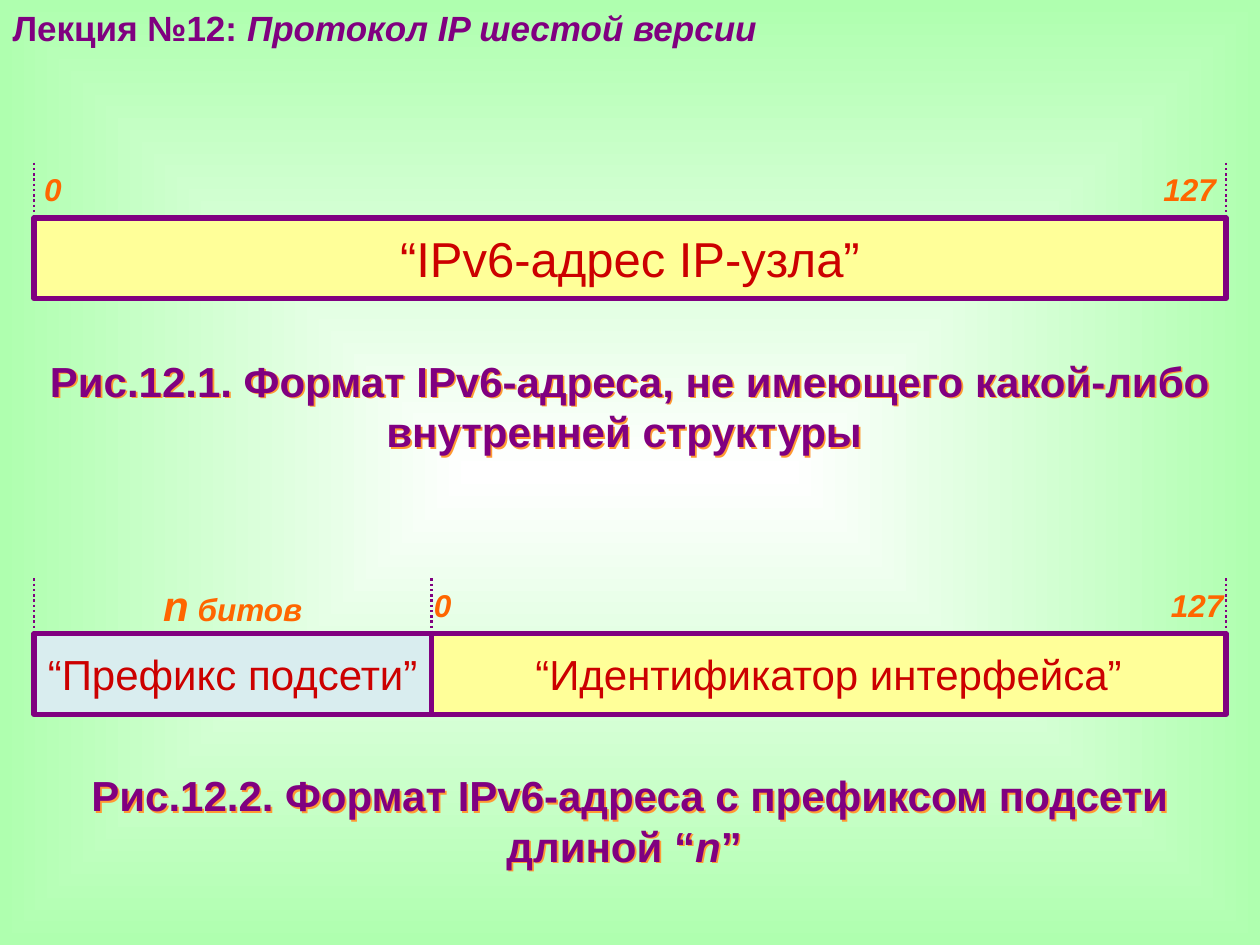
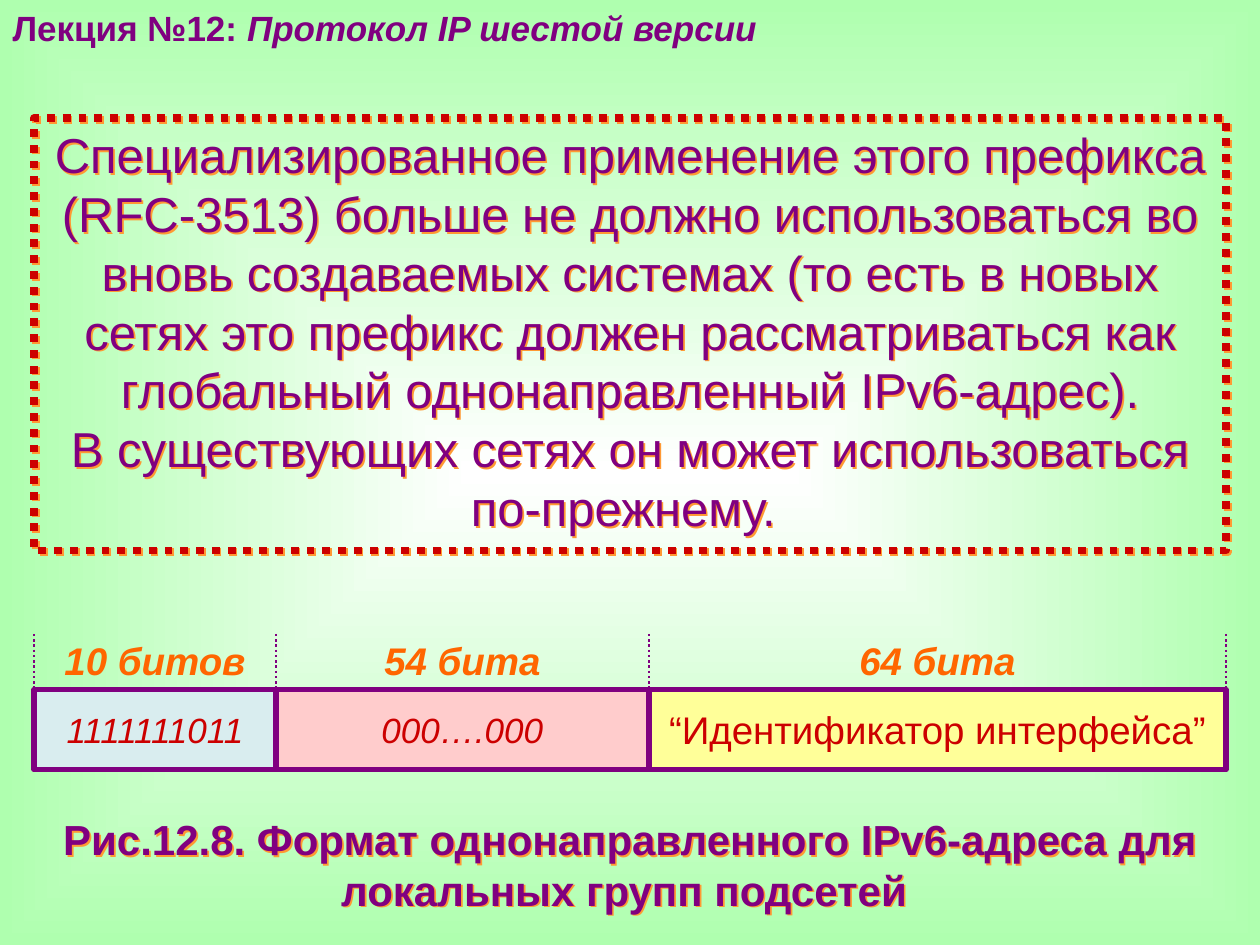
from lxml import etree
from pptx import Presentation
from pptx.dml.color import RGBColor
from pptx.enum.dml import MSO_LINE
from pptx.enum.shapes import MSO_CONNECTOR, MSO_SHAPE
from pptx.enum.text import MSO_ANCHOR, MSO_AUTO_SIZE, PP_ALIGN
from pptx.oxml import parse_xml
from pptx.oxml.ns import nsdecls, qn
from pptx.util import Inches, Pt

LEFT, CENTER, RIGHT = PP_ALIGN.LEFT, PP_ALIGN.CENTER, PP_ALIGN.RIGHT
TOP, MIDDLE = MSO_ANCHOR.TOP, MSO_ANCHOR.MIDDLE
RECTANGLE, STRAIGHT = MSO_SHAPE.RECTANGLE, MSO_CONNECTOR.STRAIGHT
DOTTED = MSO_LINE.ROUND_DOT
TITLE_ONLY = 5

FONT = "Arial"
PURPLE, RED, ORANGE, SHADOW = "800080", "CC0000", "FF6600", "FF9933"
YELLOW, BLUE, PINK = "FFFF99", "D9EDEF", "FFCCCC"
CENTER_GREEN, EDGE_GREEN = "FFFFFF", "AFFFAF"

SLIDE_WIDTH, SLIDE_HEIGHT = 10, 7.5
MARGIN = 0.27
CONTENT_WIDTH = SLIDE_WIDTH - 2 * MARGIN
TICK_HEIGHT, LABEL_HEIGHT = 0.59, 0.42
FIELD_OFFSET, FIELD_HEIGHT = 0.44, 0.64
CAPTION_HEIGHT = 0.9

TITLE = ["Лекция №12: ", ("Протокол IP шестой версии", {"italic": True})]
NOTICE = [
    ["Специализированное применение этого префикса (RFC-3513) больше не должно "
     "использоваться во вновь создаваемых системах (то есть в новых сетях это "
     "префикс должен рассматриваться как глобальный однонаправленный IPv6-адрес)."],
    ["В существующих сетях он может использоваться по-прежнему. "],
]

# A field has a width, a fill, a text with its format, and either
# "bits" (one centred label) or "range" (first bit, last bit, side padding).
ADDRESS = {
    "top": 1.29, "caption_top": 2.77,
    "caption": ["Рис.12.1. Формат IPv6-адреса, не имеющего какой-либо внутренней структуры "],
    "fields": [
        {"width": CONTENT_WIDTH, "fill": YELLOW, "text": "“IPv6-адрес IP-узла”",
         "format": {"size": 28}, "range": ("0", "127", 0.08)},
    ],
}
SUBNET_ADDRESS = {
    "top": 4.59, "caption_top": 6.06,
    "caption": ["Рис.12.2. Формат IPv6-адреса с префиксом подсети длиной “",
                ("n", {"italic": True}), "” "],
    "fields": [
        {"width": CONTENT_WIDTH / 3, "fill": BLUE, "text": "“Префикс подсети”",
         "format": {"size": 24}, "bits": [("n", {"size": 24}), " битов"], "bits_size": 18},
        {"width": CONTENT_WIDTH * 2 / 3, "fill": YELLOW, "text": "“Идентификатор интерфейса”",
         "format": {"size": 24}, "range": ("0", "127", 0.02)},
    ],
}
LOCAL_ADDRESS = {
    "top": 5.03, "caption_top": 6.41,
    "caption": ["Рис.12.8. Формат однонаправленного IPv6-адреса для локальных групп подсетей "],
    "fields": [
        {"width": 1.92, "fill": BLUE, "text": "1111111011",
         "format": {"size": 20, "italic": True}, "bits": ["10 битов"], "bits_size": 22},
        {"width": 2.96, "fill": PINK, "text": "000….000",
         "format": {"size": 20, "italic": True}, "bits": ["54 бита"], "bits_size": 22},
        {"width": 4.58, "fill": YELLOW, "text": "“Идентификатор интерфейса”",
         "format": {"size": 22}, "bits": ["64 бита"], "bits_size": 22},
    ],
}
SLIDES = [
    {"notice": None, "diagrams": [ADDRESS, SUBNET_ADDRESS]},
    {"notice": NOTICE, "diagrams": [LOCAL_ADDRESS]},
]


def rgb(color):
    return RGBColor.from_string(color)


def write(shape, paragraphs, align=CENTER, anchor=MIDDLE, insets=(0, 0), **format):
    """Fill a shape with paragraphs, each a list of strings or (string, format) runs."""
    frame = shape.text_frame
    frame.word_wrap = True
    frame.auto_size = MSO_AUTO_SIZE.NONE
    frame.vertical_anchor = anchor
    frame.margin_left = frame.margin_right = Inches(insets[0])
    frame.margin_top = frame.margin_bottom = Inches(insets[1])
    for index, runs in enumerate(paragraphs):
        paragraph = frame.add_paragraph() if index else frame.paragraphs[0]
        paragraph.alignment = align
        for item in runs:
            text, changes = (item, {}) if isinstance(item, str) else item
            style = {"bold": False, "italic": False, **format, **changes}
            run = paragraph.add_run()
            run.text = text
            font = run.font
            font.name, font.size = FONT, Pt(style["size"])
            font.bold, font.italic = style["bold"], style["italic"]
            font.color.rgb = rgb(style["color"])


def add_text(slide, box, paragraphs, **format):
    shape = slide.shapes.add_textbox(*map(Inches, box))
    write(shape, paragraphs, **format)
    return shape


def add_rectangle(slide, box, line_color, line_width, fill=None):
    shape = slide.shapes.add_shape(RECTANGLE, *map(Inches, box))
    shape.shadow.inherit = False
    if fill:
        shape.fill.solid()
        shape.fill.fore_color.rgb = rgb(fill)
    else:
        shape.fill.background()
    shape.line.color.rgb = rgb(line_color)
    shape.line.width = Pt(line_width)
    return shape


def add_shadow(shape):
    """Give an unfilled shape, with its text, a hard orange shadow."""
    shape.shadow.inherit = False
    effects = shape._element.spPr.find(qn("a:effectLst"))
    effects.append(parse_xml(
        f'<a:outerShdw {nsdecls("a")} dist="17780" dir="2700000" algn="ctr" rotWithShape="0">'
        f'<a:srgbClr val="{SHADOW}"/></a:outerShdw>'))


def add_tick(slide, x, top):
    tick = slide.shapes.add_connector(
        STRAIGHT, Inches(x), Inches(top), Inches(x), Inches(top + TICK_HEIGHT))
    tick.line.color.rgb = rgb(PURPLE)
    tick.line.width = Pt(1.5)
    tick.line.dash_style = DOTTED
    etree.SubElement(tick._element.spPr, qn("a:effectLst"))


def add_field_label(slide, field, left, top):
    style = {"color": ORANGE, "bold": True, "italic": True}
    width = field["width"]
    if "bits" in field:
        add_text(slide, (left, top, width, LABEL_HEIGHT), [field["bits"]],
                 size=field["bits_size"], **style)
        return
    first, last, padding = field["range"]
    half = width / 2
    for x, bit, align in ((left, first, LEFT), (left + half, last, RIGHT)):
        add_text(slide, (x, top, half, LABEL_HEIGHT), [[bit]],
                 align=align, insets=(padding, 0), size=18, **style)


def add_diagram(slide, diagram):
    top, fields = diagram["top"], diagram["fields"]
    edges = [MARGIN]
    for field in fields:
        edges.append(edges[-1] + field["width"])
    for edge in edges:
        add_tick(slide, edge, top)
    for field, left in zip(fields, edges):
        add_field_label(slide, field, left, top)
        box = (left, top + FIELD_OFFSET, field["width"], FIELD_HEIGHT)
        rectangle = add_rectangle(slide, box, PURPLE, 3, field["fill"])
        write(rectangle, [[field["text"]]], color=RED, **field["format"])
    caption = add_text(slide, (0, diagram["caption_top"], SLIDE_WIDTH, CAPTION_HEIGHT),
                       [diagram["caption"]], anchor=TOP, insets=(0.1, 0.05),
                       size=24, color=PURPLE, bold=True)
    add_shadow(caption)


def add_notice(slide, paragraphs):
    notice = add_rectangle(slide, (MARGIN, 0.94, CONTENT_WIDTH, 3.43), RED, 4.5)
    notice.line.dash_style = DOTTED
    add_shadow(notice)
    write(notice, paragraphs, anchor=TOP, insets=(0.1, 0.05), size=28, color=PURPLE)


def add_title(slide):
    title = slide.shapes.title
    title.left, title.top, title.width, title.height = map(Inches, (0, 0, 6.38, 0.43))
    write(title, [TITLE], align=LEFT, anchor=TOP, insets=(0.1, 0.05),
          size=20, color=PURPLE, bold=True)


def set_background(master):
    """Give every slide a gradient that goes from white in the middle to green."""
    common = master._element.cSld
    for background in common.findall(qn("p:bg")):
        common.remove(background)
    common.insert(0, parse_xml(
        f'<p:bg {nsdecls("p", "a")}><p:bgPr><a:gradFill rotWithShape="1"><a:gsLst>'
        f'<a:gs pos="0"><a:srgbClr val="{CENTER_GREEN}"/></a:gs>'
        f'<a:gs pos="100000"><a:srgbClr val="{EDGE_GREEN}"/></a:gs></a:gsLst>'
        '<a:path path="shape"><a:fillToRect l="50000" t="50000" r="50000" b="50000"/></a:path>'
        '</a:gradFill><a:effectLst/></p:bgPr></p:bg>'))


def main():
    presentation = Presentation()
    presentation.slide_width = Inches(SLIDE_WIDTH)
    presentation.slide_height = Inches(SLIDE_HEIGHT)
    set_background(presentation.slide_master)
    for content in SLIDES:
        slide = presentation.slides.add_slide(presentation.slide_layouts[TITLE_ONLY])
        add_title(slide)
        if content["notice"]:
            add_notice(slide, content["notice"])
        for diagram in content["diagrams"]:
            add_diagram(slide, diagram)
    presentation.save("out.pptx")


if __name__ == "__main__":
    main()
